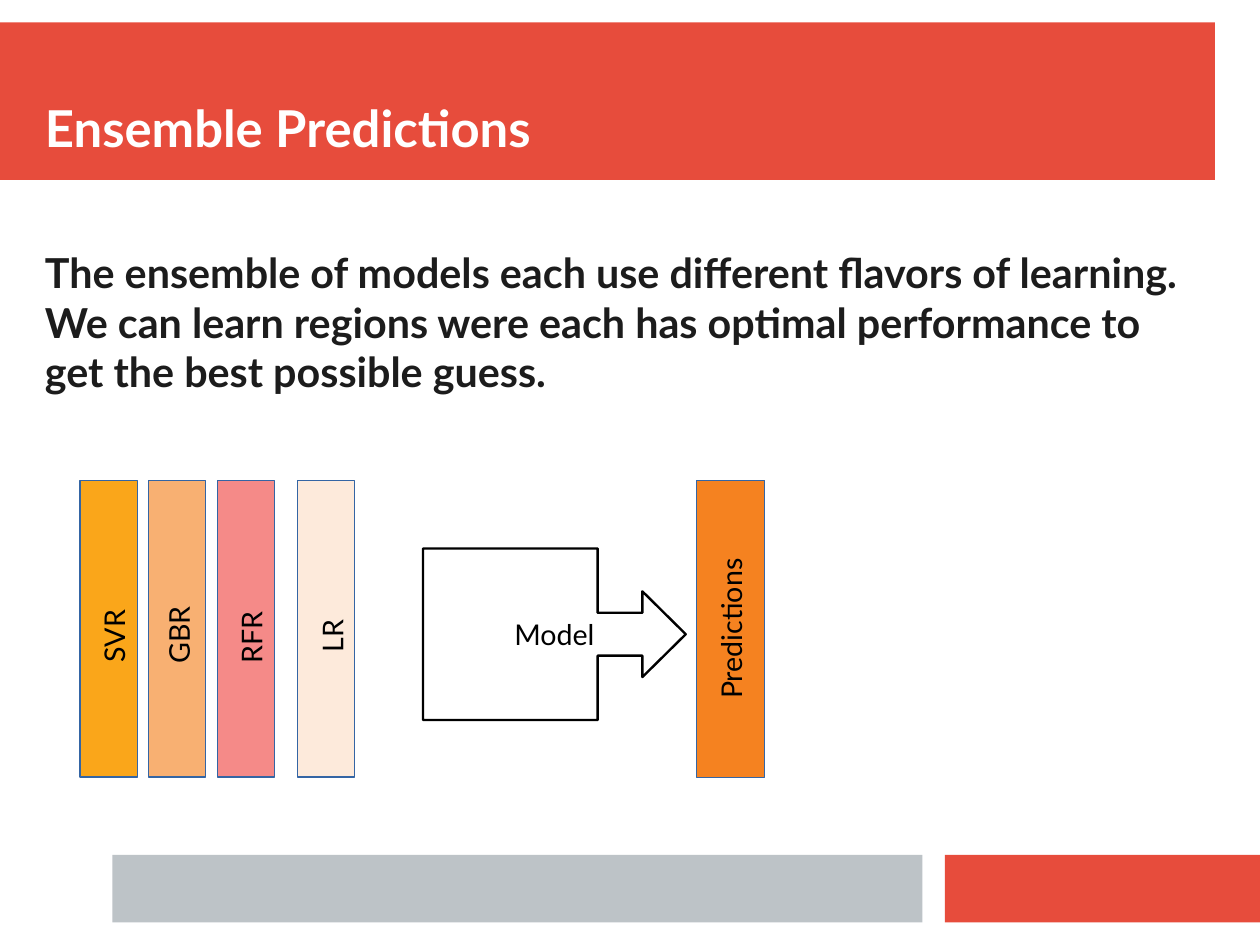
from lxml import etree
from pptx import Presentation
from pptx.dml.color import RGBColor
from pptx.enum import shapes as kinds, text as txt
from pptx.oxml import ns
from pptx.util import Cm, Pt

RED = RGBColor(0xE7, 0x4C, 0x3C)
GREY = RGBColor(0xBD, 0xC3, 0xC7)
WHITE = RGBColor(0xFF, 0xFF, 0xFF)
DARK = RGBColor(0x1C, 0x1C, 0x1C)
BLACK = RGBColor(0, 0, 0)
BLUE = RGBColor(0x34, 0x65, 0xA4)
AMBER = RGBColor(0xFA, 0xA6, 0x1A)
ORANGE = RGBColor(0xF5, 0x82, 0x20)
CORAL = RGBColor(0xEF, 0x41, 0x3D)


def write(shape, words, size=18, color=BLACK, bold=False,
          align=txt.PP_ALIGN.LEFT, anchor=txt.MSO_ANCHOR.TOP, wrap=True, pad=None):
    """Put one formatted run into a shape."""
    frame = shape.text_frame
    frame.word_wrap = wrap
    frame.auto_size = txt.MSO_AUTO_SIZE.NONE
    frame.vertical_anchor = anchor
    if pad is not None:
        frame.margin_left = frame.margin_right = Cm(pad)
        frame.margin_top = frame.margin_bottom = Cm(pad)
    para = frame.paragraphs[0]
    para.alignment = align
    run = para.add_run()
    run.text = words
    font = run.font
    font.name, font.size, font.bold = "Lato", Pt(size), bold
    font.color.rgb = color


def block(slide, left, top, width, height, fill, line=None, alpha=100):
    """Draw a filled rectangle, with an optional outline and opacity."""
    rect = slide.shapes.add_shape(
        kinds.MSO_SHAPE.RECTANGLE, Cm(left), Cm(top), Cm(width), Cm(height))
    rect.shadow.inherit = False
    rect.fill.solid()
    rect.fill.fore_color.rgb = fill
    if alpha < 100:
        color = rect.element.spPr.find(ns.qn("a:solidFill"))[0]
        etree.SubElement(color, ns.qn("a:alpha"), val=str(alpha * 1000))
    if line is None:
        rect.line.fill.background()
    else:
        rect.line.color.rgb = line
        rect.line.width = Pt(0.75)
    return rect


def header(slide, left, top, width, height):
    """Draw the red band and set the title on it."""
    block(slide, left, top, width, height, RED)
    title = slide.shapes.title
    title.element.getparent().append(title.element)
    title.left, title.top = Cm(left + 1), Cm(top + 0.5)
    title.width, title.height = Cm(width - 1), Cm(height - 1)
    write(title, "Ensemble Predictions", 32, WHITE, True,
          anchor=txt.MSO_ANCHOR.BOTTOM, pad=0)


def footer(slide, left, top, width, height):
    """Draw the grey and red bars at the foot."""
    block(slide, left + width - 7, top, 7, height, RED)
    block(slide, left, top, width - 7.5, height, GREY)


def body(slide, left, top, width, height):
    """Write the statement above the diagram."""
    box = slide.shapes.add_textbox(Cm(left), Cm(top), Cm(width), Cm(height))
    write(box, "The ensemble of models each use different flavors of learning. "
          "We can learn regions were each has optimal performance to get the "
          "best possible guess.", 26, DARK, True, pad=0)
    box.text_frame.paragraphs[0].space_after = Pt(11.4)


def bars(slide, left, top, width, height):
    """Draw the four model bars, each with an upright label."""
    long, thick = 3.3, 1
    for name, step, fill, alpha, shift, base in (
            ("SVR", 0, AMBER, 100, 0.74, 4.3),
            ("GBR", 1.52, ORANGE, 63, 0.66, 4.33),
            ("RFR", 3.05, CORAL, 61, 0.74, 4.33),
            ("LR", 4.83, ORANGE, 16, 0.76, 4.08)):
        block(slide, left + step, top, width, height, fill, BLUE, alpha)
        label = slide.shapes.add_textbox(
            Cm(left + step + shift - long / 2),
            Cm(top + base - long / 2 - thick / 2), Cm(long), Cm(thick))
        label.rotation = 270
        write(label, name)


def model(slide, left, top, width, height):
    """Draw the model box that ends in an arrow."""
    neck, head = 0.665, 0.835
    points = [(Cm(left + x * width), Cm(top + y * height)) for x, y in (
        (0, 0), (neck, 0), (neck, 0.375), (head, 0.375), (head, 0.25), (1, 0.5),
        (head, 0.75), (head, 0.625), (neck, 0.625), (neck, 1), (0, 1))]
    pen = slide.shapes.build_freeform(*points[0])
    pen.add_line_segments(points[1:], close=True)
    arrow = pen.convert_to_shape()
    arrow.shadow.inherit = False
    arrow.fill.background()
    arrow.line.color.rgb = BLACK
    arrow.line.width = Pt(1.5)
    write(arrow, "Model", align=txt.PP_ALIGN.CENTER,
          anchor=txt.MSO_ANCHOR.MIDDLE, wrap=False)


def result(slide, left, top, width, height):
    """Draw the upright predictions bar."""
    bar = block(slide, left + (width - height) / 2, top + (height - width) / 2,
                height, width, ORANGE, BLUE)
    bar.rotation = 270
    write(bar, "Predictions", align=txt.PP_ALIGN.CENTER,
          anchor=txt.MSO_ANCHOR.MIDDLE, wrap=False)


def main():
    """Build the slide and save it."""
    deck = Presentation()
    deck.slide_width, deck.slide_height = Cm(28), Cm(21)
    slide = deck.slides.add_slide(deck.slide_layouts.get_by_name("Title Only"))
    header(slide, 0, 0.5, 27, 3.5)
    footer(slide, 2.5, 19, 25.5, 1.5)
    body(slide, 1, 5.5, 25.5, 13)
    bars(slide, 1.78, 10.67, 1.27, 6.6)
    model(slide, 9.4, 12.19, 5.84, 3.81)
    result(slide, 15.48, 10.67, 1.52, 6.6)
    deck.save("out.pptx")


main()
